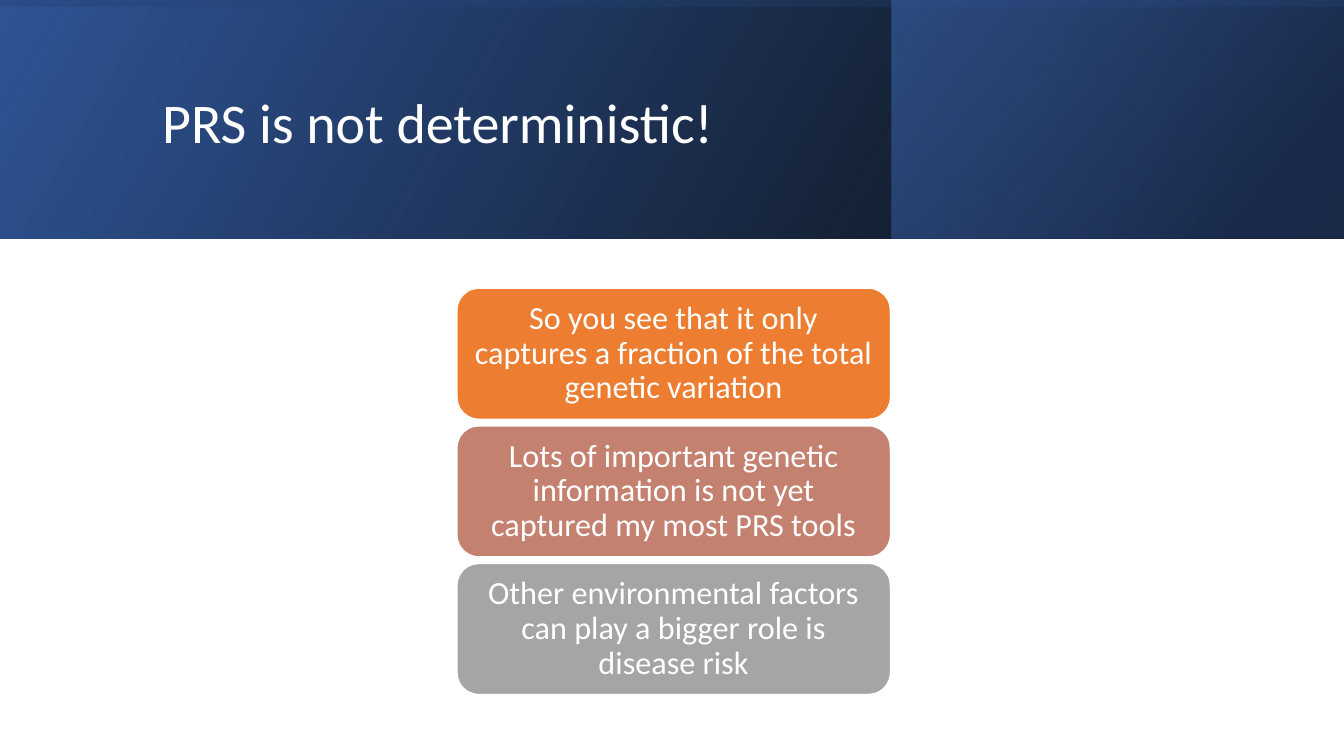
from dataclasses import dataclass

from lxml import etree
from pptx import Presentation
from pptx.dml.color import RGBColor
from pptx.enum.shapes import MSO_SHAPE
from pptx.enum.text import MSO_ANCHOR, PP_ALIGN
from pptx.oxml.ns import nsdecls, qn
from pptx.util import Inches, Pt

RECT, ROUNDED = MSO_SHAPE.RECTANGLE, MSO_SHAPE.ROUNDED_RECTANGLE
MIDDLE = MSO_ANCHOR.MIDDLE
LEFT, CENTER = PP_ALIGN.LEFT, PP_ALIGN.CENTER

HEADING = "PRS is not deterministic!"
POINTS = [
    ("So you see that it only captures a fraction of the total genetic variation", "ED7D31"),
    ("Lots of important genetic information is not yet captured my most PRS tools", "C48170"),
    ("Other environmental factors can play a bigger role is disease risk", "A5A5A5"),
]


@dataclass(frozen=True)
class Theme:
    font: str = "Calibri"
    light: str = "FFFFFF"
    heading_size: float = 40
    point_size: float = 23
    line_spacing: float = 0.9
    banner_base: tuple = ((0, "000000", 96), (100, "2F5597", 100))
    banner_corner: tuple = ((19, "203864", 68), (100, "4472C4", 48))
    banner_shade: tuple = ((23, "2F5597", 16), (99, "000000", 45))


THEME = Theme()
WIDTH, HEIGHT = 13.33, 7.5
BANNER_HEIGHT = 2.37
CORNER_LEFT = 8.84
CARD_LEFT, CARD_TOP = 0.34 * WIDTH, 2.86
CARD_WIDTH, CARD_HEIGHT = 4.3, 1.3
CARD_PITCH = 1.05 * CARD_HEIGHT

BANNER_LAYERS = [
    ((0, 0, WIDTH, BANNER_HEIGHT), 0, THEME.banner_base, 330),
    ((CORNER_LEFT, 0, WIDTH - CORNER_LEFT, BANNER_HEIGHT), 0, THEME.banner_corner, 320),
    (((WIDTH - BANNER_HEIGHT) / 2, (BANNER_HEIGHT - WIDTH) / 2, BANNER_HEIGHT, WIDTH),
     270, THEME.banner_shade, 350),
]


def write_text(frame, text, *, size, align=LEFT):
    frame.word_wrap = True
    frame.vertical_anchor = MIDDLE
    paragraph = frame.paragraphs[0]
    paragraph.alignment = align
    paragraph.line_spacing = THEME.line_spacing
    run = paragraph.add_run()
    run.text = text
    run.font.name = THEME.font
    run.font.size = Pt(size)
    run.font.color.rgb = RGBColor.from_string(THEME.light)


def add_block(slide, kind, box):
    block = slide.shapes.add_shape(kind, *map(Inches, box))
    block.shadow.inherit = False
    return block


def add_banner_layer(slide, box, rotation, stops, angle):
    layer = add_block(slide, RECT, box)
    layer.rotation = rotation
    layer.line.fill.background()
    properties = layer._element.spPr
    properties.find(qn("a:xfrm")).set("flipH", "1")
    stop_list = "".join(
        f'<a:gs pos="{position * 1000}"><a:srgbClr val="{color}">'
        f'<a:alpha val="{opacity * 1000}"/></a:srgbClr></a:gs>'
        for position, color, opacity in stops
    )
    gradient = etree.fromstring(
        f'<a:gradFill {nsdecls("a")} rotWithShape="1"><a:gsLst>{stop_list}</a:gsLst>'
        f'<a:lin ang="{angle * 60000}" scaled="0"/></a:gradFill>'
    )
    properties.find(qn("a:prstGeom")).addnext(gradient)


def add_card(slide, row, text, color):
    card = add_block(
        slide, ROUNDED,
        (CARD_LEFT, CARD_TOP + row * CARD_PITCH, CARD_WIDTH, CARD_HEIGHT),
    )
    card.fill.solid()
    card.fill.fore_color.rgb = RGBColor.from_string(color)
    card.line.color.rgb = RGBColor.from_string(THEME.light)
    card.line.width = Pt(1)
    write_text(card.text_frame, text, size=THEME.point_size, align=CENTER)


def main():
    deck = Presentation()
    deck.slide_width, deck.slide_height = Inches(WIDTH), Inches(HEIGHT)
    slide = deck.slides.add_slide(deck.slide_layouts[6])
    for layer in BANNER_LAYERS:
        add_banner_layer(slide, *layer)
    heading = slide.shapes.add_textbox(*map(Inches, (1.51, 0.38, 10.63, 1.72)))
    write_text(heading.text_frame, HEADING, size=THEME.heading_size)
    for row, (text, color) in enumerate(POINTS):
        add_card(slide, row, text, color)
    deck.save("out.pptx")


if __name__ == "__main__":
    main()
